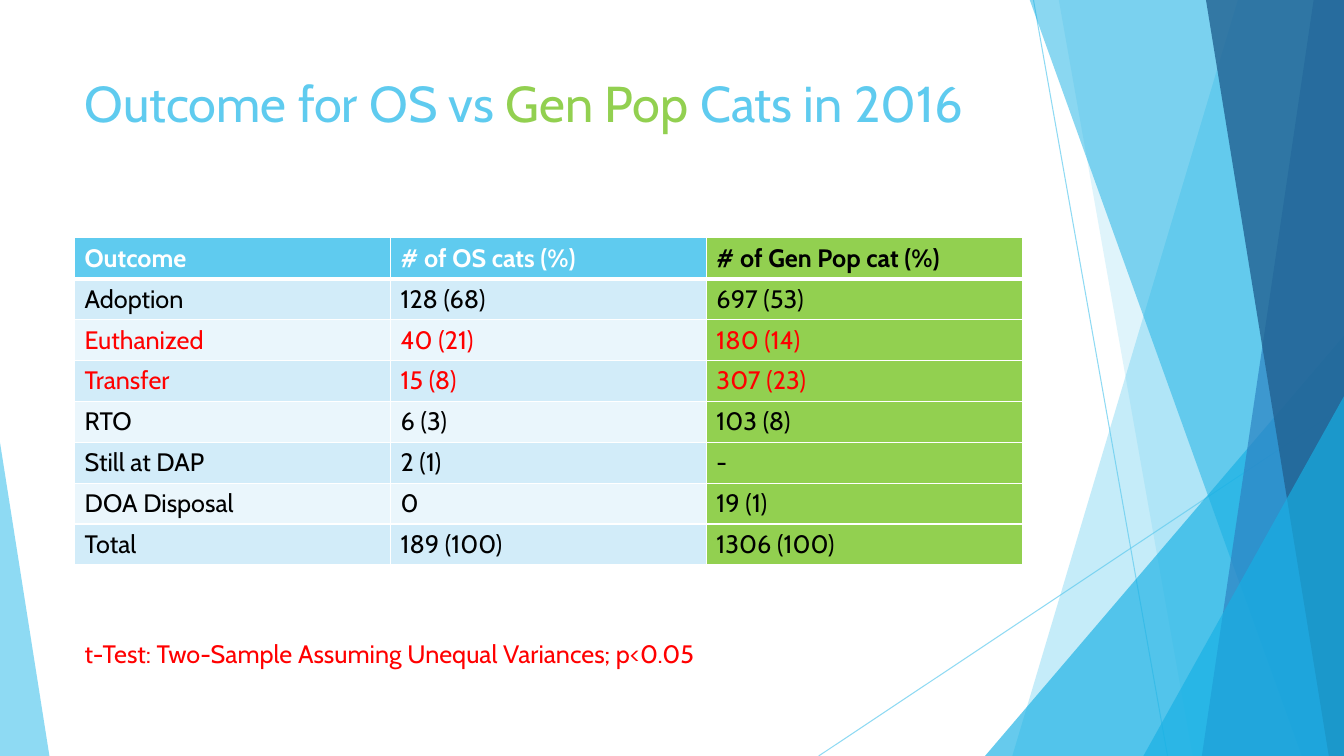
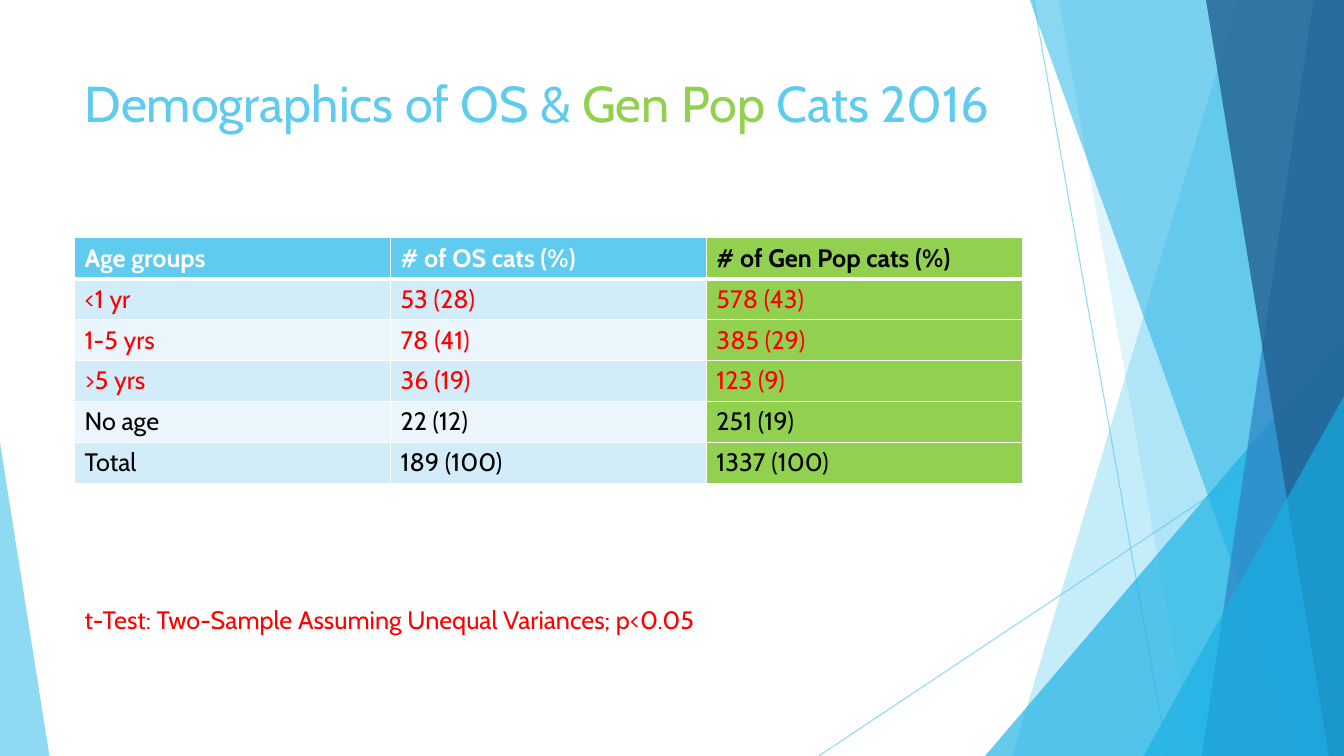
from lxml import etree
from pptx import Presentation
from pptx import util as u
from pptx.dml.color import RGBColor
from pptx.enum import shapes, text
from pptx.oxml.ns import qn

PX = 9144
WIDTH, HEIGHT = 1333, 750
MARGIN, CONTENT_W = 74, 940
FONT = "Cabin"
COLORS = {
    "sky": "5FCBEF", "cyan": "17B0E4", "blue": "2E83C3", "navy": "226292",
    "green": "92D050", "red": "FF0000", "black": "000000", "white": "FFFFFF",
    "band_dark": "D2ECF9", "band_light": "EAF6FC",
}
RAYS = [((1025, 0), (1158, HEIGHT)), ((WIDTH, 403), (812, HEIGHT))]
PANELS = [
    ("slant", (1228, 1004), "sky", 36),
    ("slant", (1050, 1183), "sky", 20),
    ("triangle", (977, 333, 356, 417, 1), "cyan", 66),
    ("slant", (1021, 1291), "cyan", 50),
    ("slant", (1303, 1192), "blue", 70),
    ("slant", (1196, 1318), "navy", 80),
    ("triangle", (1134, 393, 199, 357, 1), "cyan", 66),
    ("triangle", (0, 439, 49, 311, 0), "sky", 70),
]


def px(*lengths):
    """Turn pixel lengths into EMU."""
    return [u.Emu(n * PX) for n in lengths]


def rgb(name):
    """Look up a named colour."""
    return RGBColor.from_string(COLORS[name])


def add_run(p, content, color="black", size=18, bold=False):
    """Append a formatted run to a paragraph."""
    r = p.add_run()
    r.text = content
    r.font.name, r.font.size, r.font.bold = FONT, u.Pt(size), bold
    r.font.color.rgb = rgb(color)


def set_alpha(sp, percent):
    """Make every colour of a shape partly transparent."""
    for clr in sp._element.spPr.iter(qn("a:srgbClr")):
        etree.SubElement(clr, qn("a:alpha"), val=str(percent * 1000))


def set_border(cell, side, width):
    """Draw one white side of a table cell."""
    ln = etree.SubElement(cell._tc.get_or_add_tcPr(), qn(f"a:ln{side}"),
                          w=str(u.Pt(width)))
    fill = etree.SubElement(ln, qn("a:solidFill"))
    etree.SubElement(fill, qn("a:srgbClr"), val=COLORS["white"])


class Deck:
    """Hold the shared style and the current slide."""

    def __init__(self):
        """Start an empty presentation."""
        self.prs = Presentation()
        self.prs.slide_width, self.prs.slide_height = px(WIDTH, HEIGHT)
        self.s = None

    def slide(self, title):
        """Add a slide with the background artwork and a title."""
        self.s = self.prs.slides.add_slide(self.prs.slide_layouts[5])
        for start, end in RAYS:
            self.ray(start, end)
        for kind, geometry, color, alpha in PANELS:
            getattr(self, kind)(*geometry, color, alpha)
        self.title(title)

    def title(self, parts):
        """Fill the title placeholder with coloured parts."""
        sp = self.s.shapes.title
        sp.left, sp.top, sp.width, sp.height = px(MARGIN, 67, CONTENT_W, 144)
        tf = sp.text_frame
        tf.word_wrap = True
        tf.auto_size = text.MSO_AUTO_SIZE.NONE
        tf.vertical_anchor = text.MSO_ANCHOR.TOP
        p = tf.paragraphs[0]
        p.alignment = text.PP_ALIGN.LEFT
        for content, color in parts:
            add_run(p, content, color=color, size=36)

    def ray(self, start, end):
        """Draw a thin translucent line."""
        line = self.s.shapes.add_connector(
            shapes.MSO_CONNECTOR.STRAIGHT, *px(*start, *end))
        line.line.color.rgb = rgb("sky")
        line.line.width = u.Pt(0.75)
        set_alpha(line, 70)
        etree.SubElement(line._element.spPr, qn("a:effectLst"))

    def paint(self, sp, color, alpha):
        """Give a shape a translucent fill and no outline."""
        sp.shadow.inherit = False
        sp.fill.solid()
        sp.fill.fore_color.rgb = rgb(color)
        sp.line.fill.background()
        set_alpha(sp, alpha)

    def slant(self, top_x, bottom_x, color, alpha):
        """Draw a panel from a slanted left side to the right edge."""
        builder = self.s.shapes.build_freeform(top_x, -1, scale=PX)
        builder.add_line_segments(
            [(WIDTH, -1), (WIDTH, HEIGHT), (bottom_x, HEIGHT)], close=True)
        self.paint(builder.convert_to_shape(), color, alpha)

    def triangle(self, x, y, w, h, apex, color, alpha):
        """Draw a triangle with its apex at a share of its width."""
        sp = self.s.shapes.add_shape(
            shapes.MSO_SHAPE.ISOSCELES_TRIANGLE, *px(x, y, w, h))
        sp.adjustments[0] = apex
        self.paint(sp, color, alpha)

    def table(self, rows, height, red_rows):
        """Draw a banded table with a green last column."""
        last = len(rows[0]) - 1
        table = self.s.shapes.add_table(
            len(rows), last + 1, *px(MARGIN, 236, CONTENT_W, height)).table
        for i, row in enumerate(rows):
            head = i == 0
            band = "sky" if head else "band_dark" if i % 2 else "band_light"
            ink = "white" if head else "red" if row[0] in red_rows else "black"
            for j, content in enumerate(row):
                cell = table.cell(i, j)
                for side in "LRTB":
                    thick = (i, side) in ((0, "B"), (1, "T"))
                    set_border(cell, side, 3 if thick else 1)
                cell.fill.solid()
                cell.fill.fore_color.rgb = rgb("green" if j == last else band)
                color = "black" if head and j == last else ink
                add_run(cell.text_frame.paragraphs[0], content,
                        color=color, bold=head)

    def note(self, content, y, w=CONTENT_W, wrap=True):
        """Write a red remark below the table."""
        tf = self.s.shapes.add_textbox(*px(MARGIN, y, w, 40)).text_frame
        tf.word_wrap = wrap
        tf.auto_size = text.MSO_AUTO_SIZE.SHAPE_TO_FIT_TEXT
        add_run(tf.paragraphs[0], content, color="red")


def main():
    """Build and save both slides."""
    deck = Deck()
    test = "t-Test: Two-Sample Assuming Unequal Variances; p<0.05"

    deck.slide([("Outcome for OS vs ", "sky"), ("Gen Pop ", "green"),
                ("Cats in 2016", "sky")])
    deck.table([
        ("Outcome", "# of OS cats (%)", "# of Gen Pop cat (%)"),
        ("Adoption", "128 (68)", "697 (53)"),
        ("Euthanized", "40 (21)", "180 (14)"),
        ("Transfer", "15 (8)", "307 (23)"),
        ("RTO", "6 (3)", "103 (8)"),
        ("Still at DAP", "2 (1)", "-"),
        ("DOA Disposal", "0", "19 (1)"),
        ("Total", "189 (100)", "1306 (100)"),
    ], 324, {"Euthanized", "Transfer"})
    deck.note(test, 628)

    deck.slide([("Demographics of OS & ", "sky"), ("Gen Pop ", "green"),
                ("Cats 2016", "sky")])
    deck.table([
        ("Age groups", "# of OS cats (%)", "# of Gen Pop cats (%)"),
        ("<1 yr", "53 (28)", "578 (43)"),
        ("1-5 yrs", "78 (41)", "385 (29)"),
        (">5 yrs", "36 (19)", "123 (9)"),
        ("No age", "22 (12)", "251 (19)"),
        ("Total", "189 (100)", "1337 (100)"),
    ], 243, {"<1 yr", "1-5 yrs", ">5 yrs"})
    deck.note(test, 595, w=654, wrap=False)

    deck.prs.save("out.pptx")


if __name__ == "__main__":
    main()
